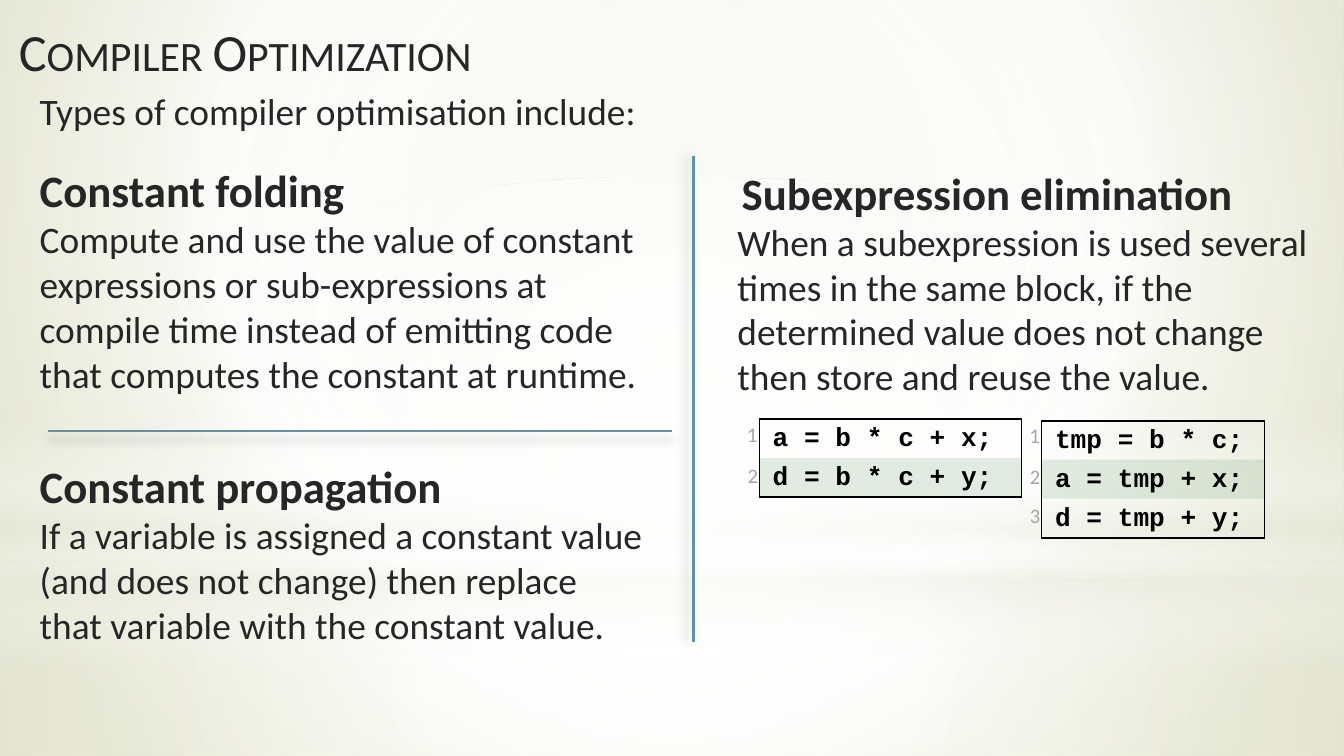
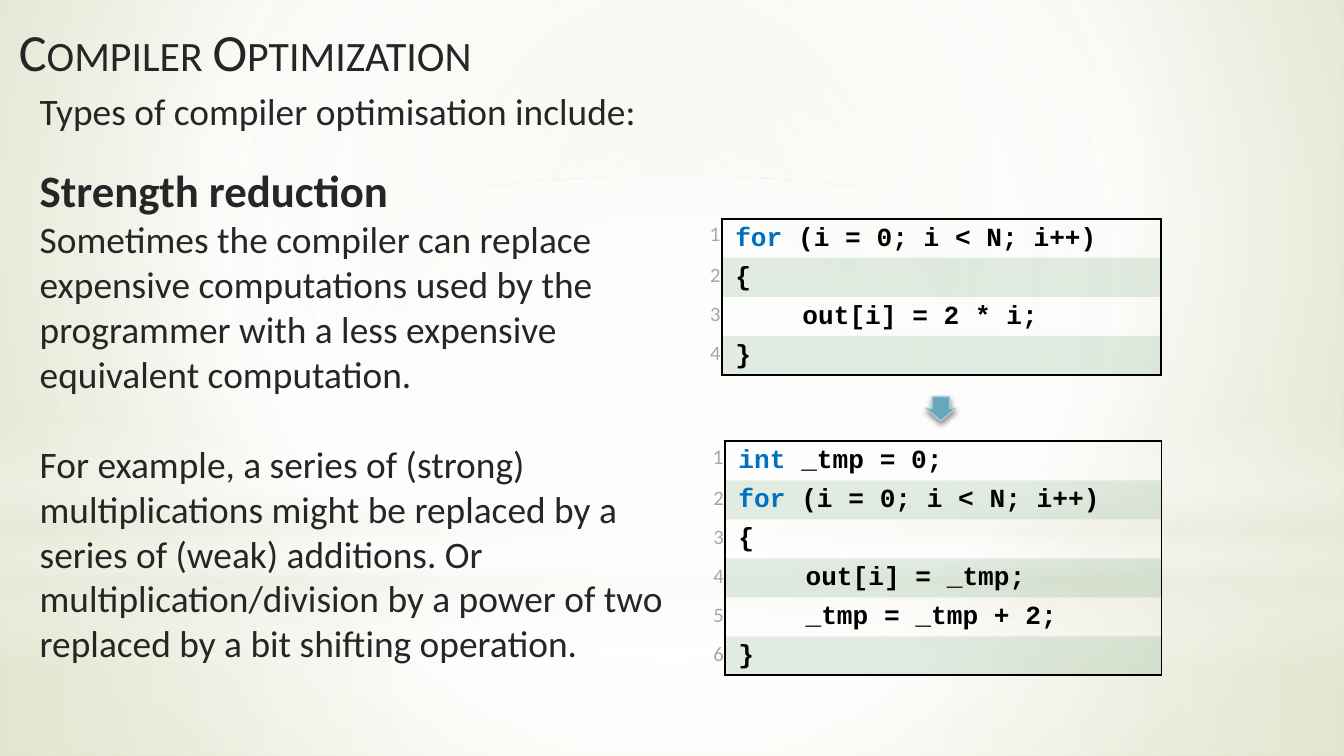
from lxml.etree import SubElement
from pptx import Presentation
from pptx.dml.color import RGBColor
from pptx.enum.shapes import MSO_CONNECTOR, MSO_SHAPE
from pptx.enum.text import MSO_ANCHOR, PP_ALIGN
from pptx.oxml.ns import qn
from pptx.util import Pt

COLORS = {
    "text": "262626", "code": "000000", "key": "0070C0", "number": "A6A6A6",
    "stripe": "72A376", "rule": "5995A5", "arrow": "66A7B9", "edge": "A8CDD7",
    "white": "FFFFFF", "cream": "EAEBDE", "sage": "E3E5D1", "olive": "CCD09F",
}
FONT, MONO = "Calibri", "Courier New"
WIDTH, HEIGHT = 720, 405
ROW = 20.9
KEYS = ("for", "int")
PLAIN = "{2D5ABB26-0587-4C30-8999-92F81FD0307C}"
CENTER = (50, 50, 50, 50)

# Each stop: position, colour, opacity (all in percent)
PAGE = [(0, "sage", 100), (60, "white", 100), (100, "olive", 100)]
BANDS = [
    (MSO_SHAPE.RECTANGLE, (0, 301.5, WIDTH, 103.5), CENTER,
     [(0, "white", 91), (37, "white", 76), (100, "cream", 79)]),
    (MSO_SHAPE.RECTANGLE, (0, 0, WIDTH, 301.5), CENTER,
     [(0, "white", 89), (48, "white", 62), (100, "cream", 79)]),
    (MSO_SHAPE.RECTANGLE, (0, 222.5, WIDTH, 135), None,
     [(0, "white", 0), (29, "white", 30), (45, "cream", 40),
      (55, "white", 26), (65, "cream", 60), (100, "white", 0)]),
    (MSO_SHAPE.OVAL, (0, 94.5, WIDTH, 301.5), CENTER,
     [(0, "white", 100), (56, "white", 0)]),
]


def rgb(name):
    return RGBColor.from_string(COLORS[name])


def points(*values):
    return [Pt(value) for value in values]


def add_tag(parent, tag, **attrs):
    return SubElement(parent, qn(tag), {k: str(v) for k, v in attrs.items()})


def add_tint(parent, name, alpha):
    """Add a colour with an opacity in percent."""
    tint = add_tag(parent, "a:srgbClr", val=COLORS[name])
    add_tag(tint, "a:alpha", val=alpha * 1000)


def set_blend(fill, root, stops, focus):
    """Blend outward from the focus box, or straight down when it is None."""
    fill.gradient()
    blend = root.find(".//" + qn("a:gradFill"))
    for child in list(blend):
        blend.remove(child)
    items = add_tag(blend, "a:gsLst")
    for place, name, alpha in stops:
        add_tint(add_tag(items, "a:gs", pos=place * 1000), name, alpha)
    if focus:
        way = add_tag(blend, "a:path", path="circle")
        add_tag(way, "a:fillToRect",
                **{side: v * 1000 for side, v in zip("ltrb", focus)})
    else:
        add_tag(blend, "a:lin", ang=90 * 60000, scaled=0)


def add_shade(shape, alpha, blur, dist, angle=90):
    effects = add_tag(shape.element.spPr, "a:effectLst")
    shade = add_tag(effects, "a:outerShdw", blurRad=Pt(blur), dist=Pt(dist),
                    dir=angle * 60000, rotWithShape=0)
    add_tint(shade, "code", alpha)


def add_run(para, text, size, color="text", font=FONT, bold=False):
    run = para.add_run()
    run.text = text
    run.font.size = Pt(size)
    run.font.name = font
    run.font.bold = bold
    run.font.color.rgb = rgb(color)
    return run


def add_box(slide, box):
    frame = slide.shapes.add_textbox(*points(*box)).text_frame
    frame.word_wrap = True
    return frame


def add_topic(slide, box, head, *parts, indent=0):
    """Add a bold heading with its paragraphs below."""
    frame = add_box(slide, box)
    first = frame.paragraphs[0]
    if indent:
        first._p.get_or_add_pPr().set("indent", str(Pt(indent)))
    add_run(first, head, 24, bold=True)
    for index, part in enumerate(parts):
        para = frame.add_paragraph()
        para.space_before = Pt(24.4 if index else 0)
        add_run(para, part, 20)


def add_rule(slide, start, end, angle):
    line = slide.shapes.add_connector(MSO_CONNECTOR.STRAIGHT,
                                      *points(*start, *end))
    line.line.color.rgb = rgb("rule")
    line.line.width = Pt(1.25)
    add_shade(line, 20, 5, 4, angle)


def set_frame(cell, sides):
    for side in sides:
        edge = add_tag(cell._tc.get_or_add_tcPr(), "a:ln" + side, w=Pt(1))
        fill = add_tag(edge, "a:solidFill")
        add_tag(fill, "a:srgbClr", val=COLORS["code"])


def start_cell(cell):
    cell.margin_left = cell.margin_right = Pt(0.72)
    cell.margin_top = cell.margin_bottom = Pt(0.72)
    para = cell.text_frame.paragraphs[0]
    para.line_spacing = 1.15
    return para


def add_code(slide, left, top, widths, lines):
    """Add a framed, striped listing with line numbers on its left."""
    last = len(lines) - 1
    table = slide.shapes.add_table(
        len(lines), 2, *points(left, top, sum(widths), ROW * len(lines))).table
    table.first_row = table.horz_banding = False
    table._tbl.tblPr.find(qn("a:tableStyleId")).text = PLAIN
    for column, width in zip(table.columns, widths):
        column.width = Pt(width)
    for index, line in enumerate(lines):
        table.rows[index].height = Pt(ROW)
        label, cell = table.cell(index, 0), table.cell(index, 1)

        para = start_cell(label)
        para.alignment = PP_ALIGN.RIGHT
        size, font = (11, FONT) if index else (10, "Lato")
        add_run(para, str(index + 1), size, "number", font)
        label.fill.background()

        para = start_cell(cell)
        para._p.get_or_add_pPr().set("marL", str(Pt(6.5)))
        word = line.split(" ")[0]
        if word in KEYS:
            add_run(para, word, 14, "key", MONO, True)
            line = line[len(word):]
        add_run(para, line, 14, "code", MONO, True)
        set_frame(cell, "LR" + "T" * (index == 0) + "B" * (index == last))
        if index % 2:
            cell.fill.solid()
            cell.fill.fore_color.rgb = rgb("stripe")
            tint = cell._tc.tcPr.find(qn("a:solidFill"))[0]
            add_tag(tint, "a:alpha", val=20000)
        else:
            cell.fill.background()


def add_arrow(slide, box):
    arrow = slide.shapes.add_shape(MSO_SHAPE.RIGHT_ARROW, *points(*box))
    arrow.rotation = 90
    arrow.adjustments[0], arrow.adjustments[1] = 0.58, 0.52
    arrow.fill.solid()
    arrow.fill.fore_color.rgb = rgb("arrow")
    arrow.line.color.rgb = rgb("edge")
    arrow.line.width = Pt(0.75)
    add_shade(arrow, 45, 3.1, 1.8)


def add_page(deck):
    """Add a slide with the shared backdrop, title and lead line."""
    slide = deck.slides.add_slide(deck.slide_layouts[6])
    set_blend(slide.background.fill, slide.element, PAGE, (20, 10, 20, 60))
    for kind, box, focus, stops in BANDS:
        band = slide.shapes.add_shape(kind, *points(*box))
        band.shadow.inherit = False
        band.line.fill.background()
        set_blend(band.fill, band.element, stops, focus)
    title = add_box(slide, (3, 4.5, 306, 45))
    title.vertical_anchor = MSO_ANCHOR.MIDDLE
    run = add_run(title.paragraphs[0], "Compiler Optimization", 28)
    run.font._element.set("cap", "small")
    lead = add_box(slide, (14.2, 43.9, 465, 44))
    add_run(lead.paragraphs[0], "Types of compiler optimisation include:", 20)
    return slide


def add_basics(deck):
    slide = add_page(deck)
    add_topic(slide, (388, 85, 335, 157.5), "Subexpression elimination",
              "When a subexpression is used several times in the same block, "
              "if the determined value does not change then store and reuse "
              "the value.", indent=2.3)
    add_topic(slide, (14.2, 242, 340, 121), "Constant propagation",
              "If a variable is assigned a constant value (and does not "
              "change) then replace that variable with the constant value.")
    add_code(slide, 393.8, 224.6, (13, 140.4),
             ["a = b * c + x;", "d = b * c + y;"])
    add_code(slide, 547.2, 225.4, (10.8, 119.5),
             ["tmp = b * c;", "a = tmp + x;", "d = tmp + y;"])
    add_topic(slide, (14.2, 83.5, 340, 157.5), "Constant folding",
              "Compute and use the value of constant expressions or "
              "sub-expressions at compile time instead of emitting code that "
              "computes the constant at runtime.")
    add_rule(slide, (25.5, 231), (360, 231), 90)
    add_rule(slide, (371.5, 83.5), (371.5, 344), 180)


def add_strength(deck):
    slide = add_page(deck)
    add_topic(slide, (14.2, 83.5, 368.5, 278.5), "Strength reduction",
              "Sometimes the compiler can replace expensive computations used "
              "by the programmer with a less expensive equivalent computation.",
              "For example, a series of (strong) multiplications might be "
              "replaced by a series of (weak) additions. Or "
              "multiplication/division by a power of two replaced by a bit "
              "shifting operation.")
    loop = "for (i = 0; i < N; i++)"
    add_code(slide, 365.8, 117.3, (20.9, 235.4),
             [loop, "{", "\tout[i] = 2 * i;", "}"])
    add_code(slide, 367, 236.4, (21.4, 233.8),
             ["int _tmp = 0;", loop, "{", "\tout[i] = _tmp;",
              "\t_tmp = _tmp + 2;", "}"])
    add_arrow(slide, (497.5, 211, 13, 16))


def main():
    deck = Presentation()
    deck.slide_width, deck.slide_height = points(WIDTH, HEIGHT)
    add_basics(deck)
    add_strength(deck)
    deck.save("out.pptx")


if __name__ == "__main__":
    main()
